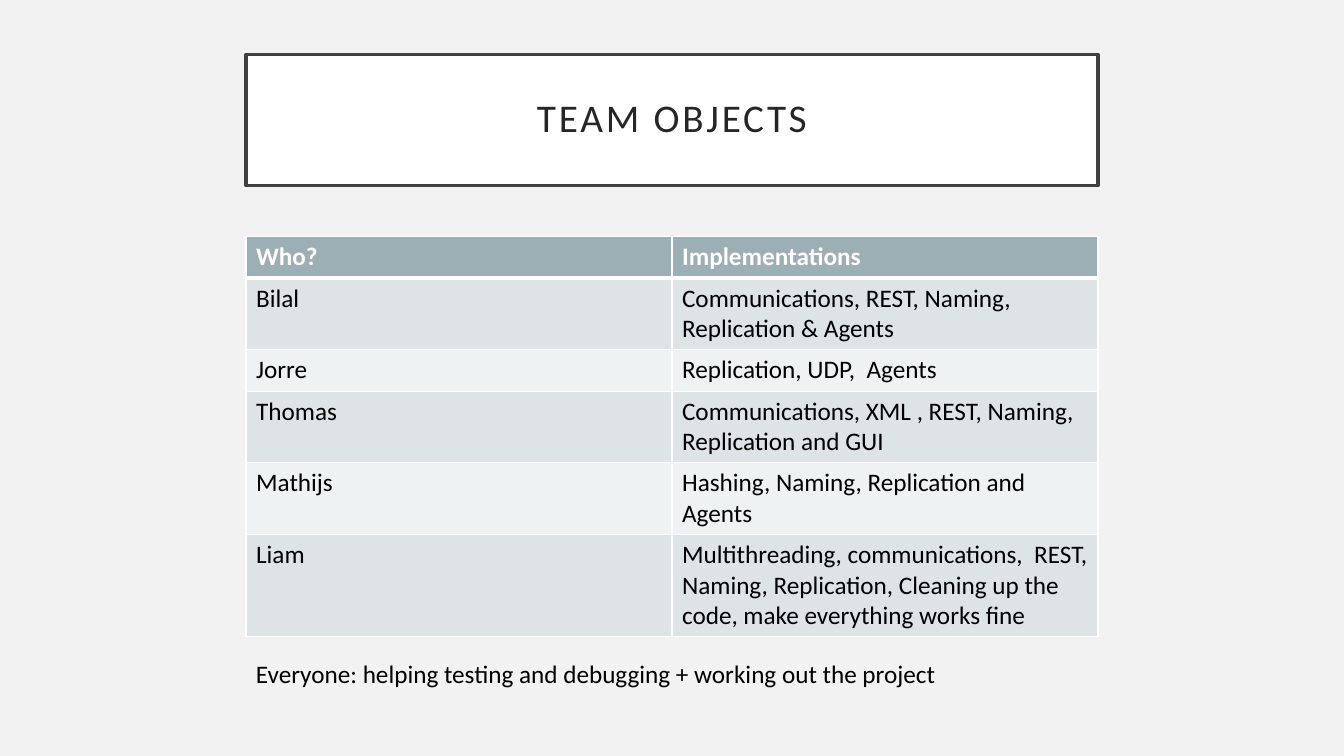
"""Build the team objects slide: a framed title, a table of tasks and a closing line."""
from dataclasses import dataclass

from lxml import etree
from pptx import Presentation
from pptx.dml.color import RGBColor
from pptx.enum.shapes import MSO_SHAPE
from pptx.enum.text import MSO_ANCHOR, MSO_AUTO_SIZE, PP_ALIGN
from pptx.oxml.ns import qn
from pptx.util import Inches, Pt

RECT = MSO_SHAPE.RECTANGLE
MIDDLE = MSO_ANCHOR.MIDDLE
CENTER = PP_ALIGN.CENTER
GROW = MSO_AUTO_SIZE.SHAPE_TO_FIT_TEXT

TITLE = "TEAM OBJECTS"
ROWS = [
    ("Who?", "Implementations"),
    ("Bilal", "Communications, REST, Naming, Replication & Agents"),
    ("Jorre", "Replication, UDP,  Agents"),
    ("Thomas", "Communications, XML , REST, Naming, Replication and GUI"),
    ("Mathijs", "Hashing, Naming, Replication and Agents"),
    ("Liam", "Multithreading, communications,  REST, Naming, Replication, "
             "Cleaning up the code, make everything works fine"),
]
NOTE = "Everyone: helping testing and debugging + working out the project"

LEFT, WIDTH = Inches(2.44), Inches(8.45)
ROW_H = Inches(0.41)


@dataclass(frozen=True)
class Theme:
    font: str = "Calibri"
    back: str = "F2F2F2"
    white: str = "FFFFFF"
    frame: str = "404040"
    title: str = "262626"
    text: str = "000000"
    head: str = "9BAFB5"
    bands: tuple = ("EFF2F3", "DEE3E5")
    title_size: int = 28
    body_size: int = 18


THEME = Theme()


def paint(fill, color):
    fill.solid()
    fill.fore_color.rgb = RGBColor.from_string(color)


def write(frame, text, size, color, bold=False):
    frame.word_wrap = True
    para = frame.paragraphs[0]
    para.text = text
    font = para.font
    font.name, font.size, font.bold = THEME.font, Pt(size), bold
    font.color.rgb = RGBColor.from_string(color)
    return para


def border(cell, top, bottom):
    props = cell._tc.get_or_add_tcPr()
    for side, width in (("L", 1), ("R", 1), ("T", top), ("B", bottom)):
        line = etree.SubElement(props, qn(f"a:ln{side}"), w=str(Pt(width)))
        fill = etree.SubElement(line, qn("a:solidFill"))
        etree.SubElement(fill, qn("a:srgbClr"), val=THEME.white)


def add_title(slide):
    box = slide.shapes.add_shape(RECT, LEFT, Inches(0.54), WIDTH, Inches(1.3))
    box.shadow.inherit = False
    paint(box.fill, THEME.white)
    paint(box.line.fill, THEME.frame)
    box.line.width = Pt(2.5)
    frame = box.text_frame
    frame.vertical_anchor = MIDDLE
    frame.margin_left = frame.margin_right = Inches(0.2)
    frame.margin_top = frame.margin_bottom = Inches(0.2)
    para = write(frame, TITLE, THEME.title_size, THEME.title)
    para.alignment = CENTER
    para.line_spacing = 0.9
    para.runs[0].font._element.set("spc", "200")


def add_tasks(slide):
    count, cols = len(ROWS), len(ROWS[0])
    table = slide.shapes.add_table(
        count, cols, LEFT, Inches(2.35), WIDTH, ROW_H * count).table
    for r, row in enumerate(ROWS):
        table.rows[r].height = ROW_H
        head = r == 0
        for c, text in enumerate(row):
            cell = table.cell(r, c)
            border(cell, 3 if r == 1 else 1, 3 if head else 1)
            paint(cell.fill, THEME.head if head else THEME.bands[r % 2])
            write(cell.text_frame, text, THEME.body_size,
                  THEME.white if head else THEME.text, head)


def add_note(slide):
    box = slide.shapes.add_textbox(LEFT, Inches(6.48), WIDTH, Inches(0.4))
    write(box.text_frame, NOTE, THEME.body_size, THEME.text)
    box.text_frame.auto_size = GROW


def main():
    deck = Presentation()
    deck.slide_width, deck.slide_height = Inches(13.33), Inches(7.5)
    slide = deck.slides.add_slide(deck.slide_layouts[6])
    paint(slide.background.fill, THEME.back)
    add_title(slide)
    add_tasks(slide)
    add_note(slide)
    deck.save("out.pptx")


if __name__ == "__main__":
    main()
